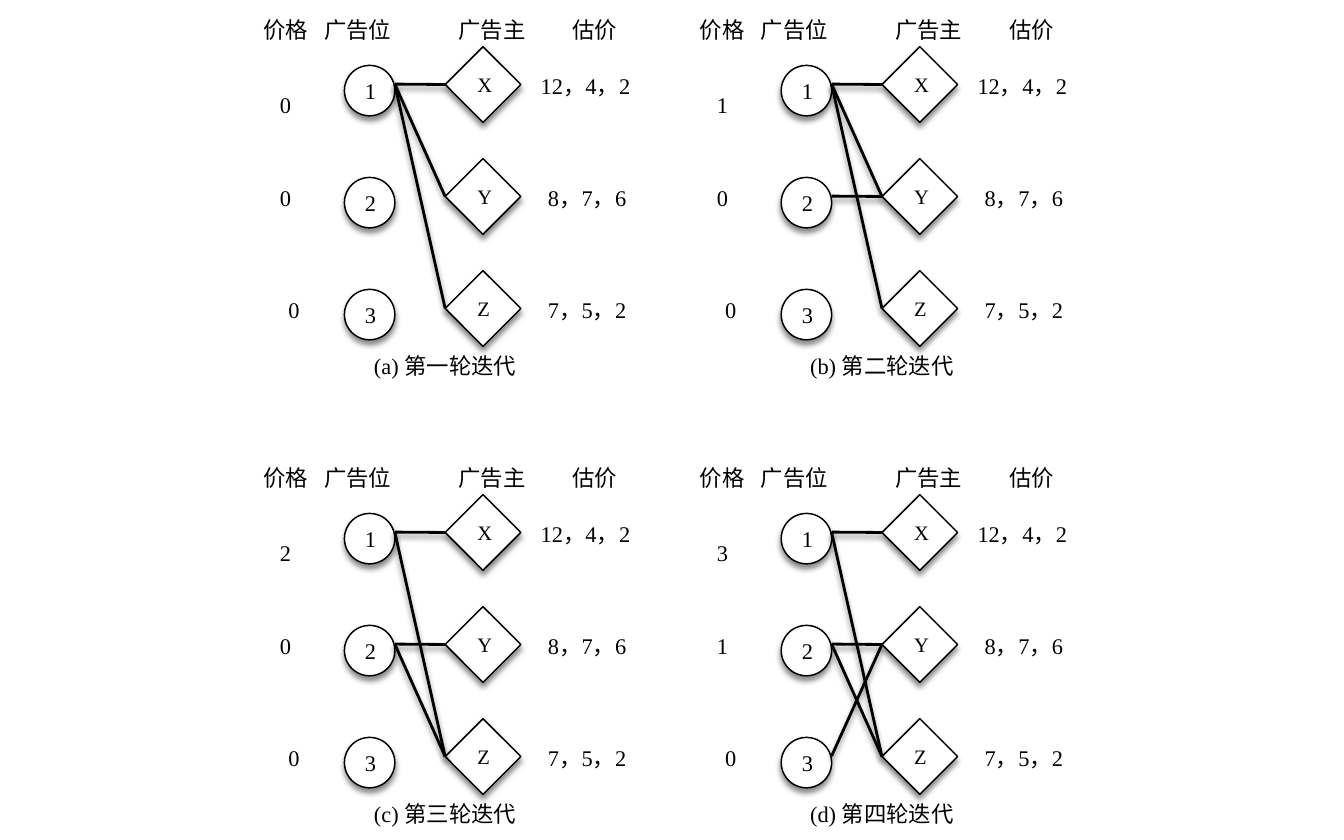
import lxml.etree
import pptx
import pptx.dml.color
import pptx.enum.shapes
import pptx.enum.text
import pptx.oxml.ns
import pptx.util

COLORS = {"ink": "000000", "paper": "FFFFFF"}
FONT = "Times New Roman"
COLUMNS, ROWS = 80, 75
TEXT_HEIGHT = 3.33
ROW_GAP = 10
EDGE_TOP = 6.67
SLOT_SIZE = (3, 4.5)
BIDDER_SIZE = (4.5, 6.75)

ALIGN = pptx.enum.text.PP_ALIGN
PRESET = pptx.enum.shapes.MSO_SHAPE

HEADINGS = [
    ("价格", 0, 5, ALIGN.CENTER),
    ("广告位", 4, 6, ALIGN.JUSTIFY),
    ("广告主", 12, 6, ALIGN.JUSTIFY),
    ("估价", 17.9, 6, ALIGN.CENTER),
]
PRICE_BOXES = [(0, 6.67, 5), (0, 15, 5), (1, 25, 4)]
BIDDERS = [("X", "12，4，2", 16.9), ("Y", " 8，7，6", 17), ("Z", " 7，5，2", 17)]
ROUNDS = [
    ("(a) 第一轮迭代", "000", ["1X", "1Y", "1Z"]),
    ("(b) 第二轮迭代", "100", ["1X", "1Y", "1Z", "2Y"]),
    ("(c) 第三轮迭代", "200", ["1X", "1Z", "2Y", "2Z"]),
    ("(d) 第四轮迭代", "310", ["1X", "1Z", "2Y", "2Z", "3Y"]),
]


def color(name):
    return pptx.dml.color.RGBColor.from_string(COLORS[name])


def write(frame, text, align, size=12):
    frame.word_wrap = True
    paragraph = frame.paragraphs[0]
    paragraph.alignment = align
    run = paragraph.add_run()
    run.text = text
    run.font.size = pptx.util.Pt(size)
    run.font.name = FONT
    run.font.color.rgb = color("ink")


def outline(part, width):
    part.line.color.rgb = color("ink")
    part.line.width = pptx.util.Pt(width)


def cast_shadow(part):
    qn = pptx.oxml.ns.qn
    effects = lxml.etree.SubElement(part._element.spPr, qn("a:effectLst"))
    shadow = lxml.etree.SubElement(
        effects, qn("a:outerShdw"), blurRad=str(pptx.util.Pt(3)),
        dist=str(pptx.util.Pt(2.4)), dir="5400000", rotWithShape="0")
    ink = lxml.etree.SubElement(shadow, qn("a:srgbClr"), val=COLORS["ink"])
    lxml.etree.SubElement(ink, qn("a:alpha"), val="45000")


def add_round(slide, left, top, column, row, caption, prices, edges):
    panel = slide.shapes.add_group_shape().shapes

    def point(x, y):
        return round((left + x) * column), round((top + y) * row)

    def label(text, x, y, width, align=ALIGN.CENTER):
        box = panel.add_textbox(*point(x, y), round(width * column), round(TEXT_HEIGHT * row))
        write(box.text_frame, text, align)

    def node(preset, text, x, y, size, align, font_size):
        shape = panel.add_shape(preset, *point(x, y), round(size[0] * column), round(size[1] * row))
        shape.fill.solid()
        shape.fill.fore_color.rgb = color("paper")
        outline(shape, 0.79)
        cast_shadow(shape)
        shape.text_frame.vertical_anchor = pptx.enum.text.MSO_ANCHOR.MIDDLE
        write(shape.text_frame, text, align, font_size)
        return shape

    for heading, x, width, align in HEADINGS:
        label(heading, x, 0, width, align)

    for price, (x, y, width) in zip(prices, PRICE_BOXES):
        label(price, x, y, width)

    bidders = {}
    for index, (bidder, valuation, x) in enumerate(BIDDERS):
        drop = index * ROW_GAP
        label(valuation, x, 5 + drop, 8, ALIGN.JUSTIFY)
        node(PRESET.OVAL, str(index + 1), 6, 5 + drop, SLOT_SIZE, ALIGN.JUSTIFY, 12)
        bidders[bidder] = node(PRESET.DIAMOND, bidder, 12, 3.33 + drop, BIDDER_SIZE,
                               ALIGN.CENTER, 11)

    for slot, bidder in edges:
        start = point(9, EDGE_TOP + (int(slot) - 1) * ROW_GAP)
        end = point(12, EDGE_TOP + list(bidders).index(bidder) * ROW_GAP)
        edge = panel.add_connector(pptx.enum.shapes.MSO_CONNECTOR.STRAIGHT, *start, *end)
        edge.end_connect(bidders[bidder], 1)
        outline(edge, 1.5)
        cast_shadow(edge)

    label(caption, 6, 30, 12)


def main():
    deck = pptx.Presentation()
    deck.slide_width = pptx.util.Inches(10)
    deck.slide_height = pptx.util.Inches(6.25)
    slide = deck.slides.add_slide(deck.slide_layouts[6])
    column, row = deck.slide_width / COLUMNS, deck.slide_height / ROWS
    for index, (caption, prices, edges) in enumerate(ROUNDS):
        down, across = divmod(index, 2)
        add_round(slide, 14.5 + 26 * across, 0.84 + 40 * down, column, row,
                  caption, prices, edges)
    deck.save("out.pptx")


if __name__ == "__main__":
    main()
